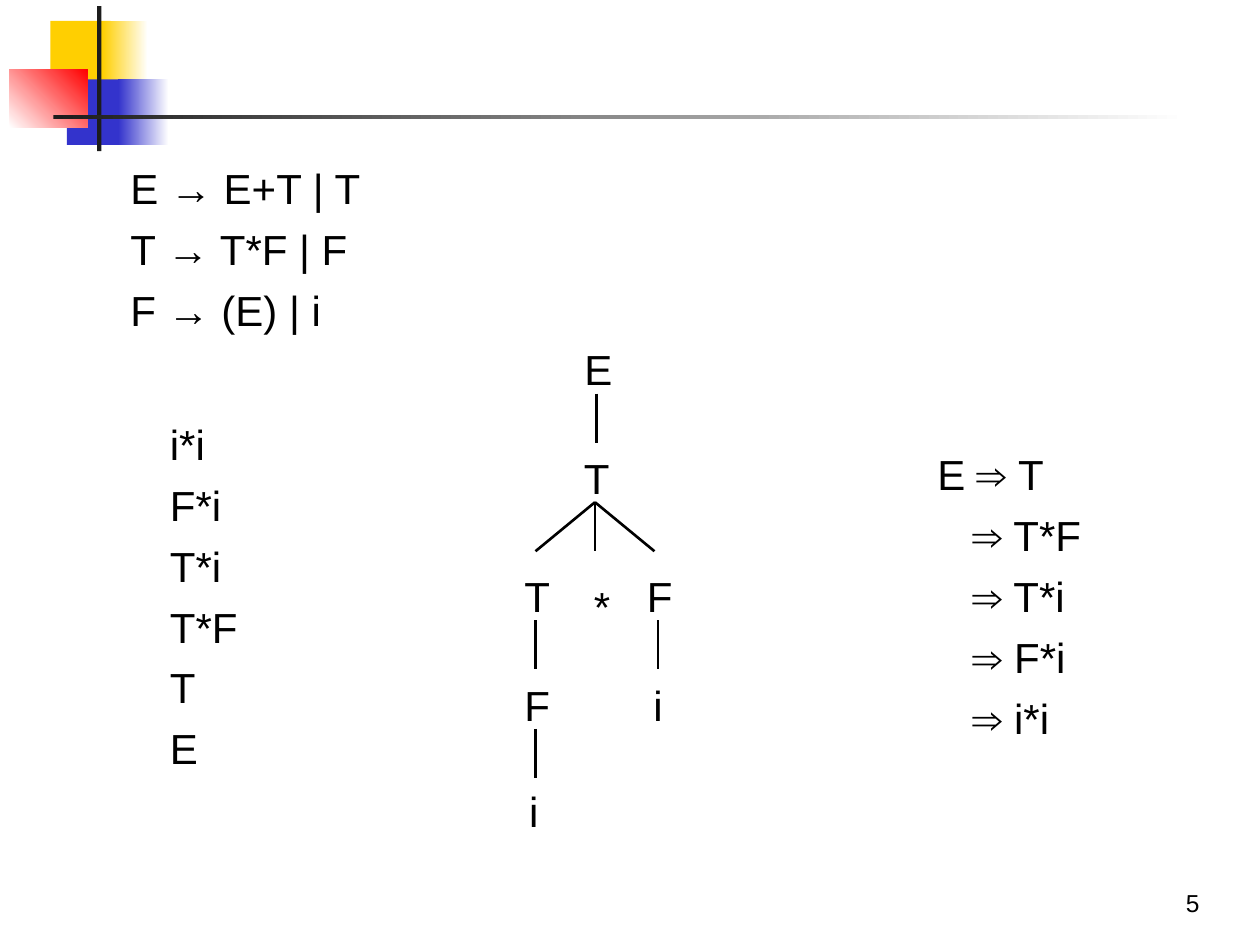
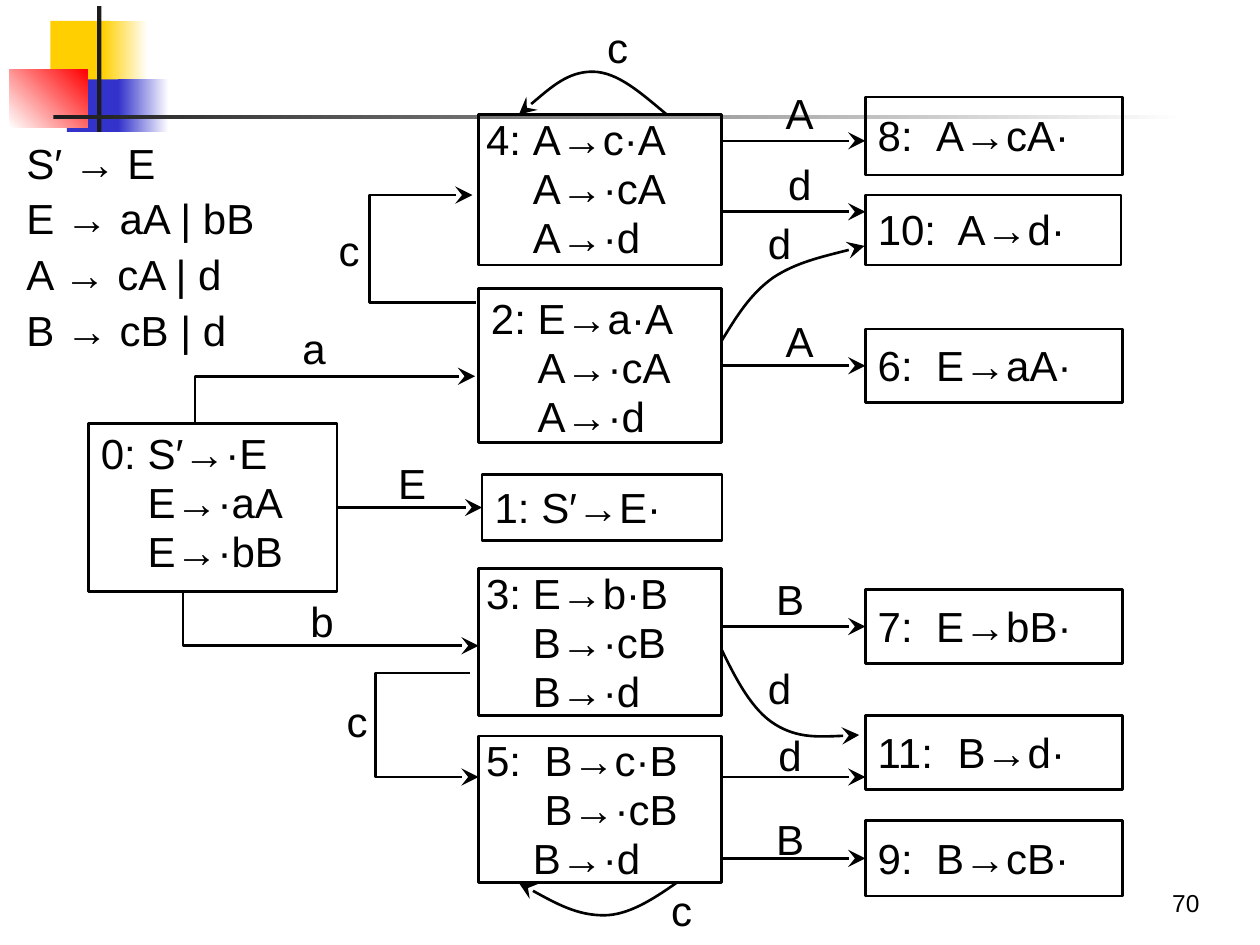
from lxml.etree import SubElement
from pptx import Presentation
from pptx.dml.color import RGBColor
from pptx.enum.shapes import MSO_CONNECTOR as Link, MSO_SHAPE as Shape
from pptx.enum.text import MSO_ANCHOR as Anchor, PP_ALIGN as Align
from pptx.oxml.ns import qn
from pptx.util import Pt

BLACK, WHITE, DARK = "000000", "FFFFFF", "1C1C1C"
GOLD, BLUE, RED = "FFCF01", "3333CC", "FF0000"
FONT, SIZE, LEAD, CLOSE = "Arial", 24, 28.8, 28
INSET = (7.2, 3, 7.2, 3.6)

# box, first colour, second colour of a gradient, angle
DECOR = [
    ((28.8, 12, 34.5, 37.5), GOLD, None, 0),
    ((58.5, 12, 26, 37.5), GOLD, WHITE, 0),
    ((38.2, 45.3, 33, 37.5), BLUE, None, 0),
    ((67.5, 45.3, 29, 37.5), BLUE, WHITE, 0),
    ((5.5, 39.5, 44.5, 33.5), WHITE, RED, 45),
    ((55.5, 3.5, 2.5, 83), DARK, None, 0),
    ((30.5, 65.5, 648, 2.3), DARK, WHITE, 0),
]

# Slide 5: box, lines, indent of the lines after the first
LISTS = [
    ((67.5, 90, 180, 107), ["E → E+T | T", "T → T*F | F", "F → (E) | i"], 0),
    ((90, 236, 112, 212), ["i*i", "F*i", "T*i", "T*F", "T", "E"], 0),
    ((528.5, 253.5, 112, 177),
     ["E ⇒ T", "⇒ T*F", "⇒ T*i", "⇒ F*i", "⇒ i*i"], 20),
]
# symbol, centre, top, sideways reach of each branch below it
NODES = [
    ("E", 342, 197, [0]),
    ("T", 341, 259, [-34, 0, 34]),
    ("T", 307, 326.5, [0]),
    ("*", 344, 332, []),
    ("F", 377, 326.5, [0]),
    ("F", 307, 388.5, [0]),
    ("i", 376, 388.5, []),
    ("i", 305, 449.5, []),
]

# Slide 70
RULES = ["S′ → E", "E → aA | bB", "A → cA | d", "B → cB | d"]
NEAR, WIDE, FAR = 26.7, 33.4, 45.7
TIGHT = (4.3, 0, 7.2, 0)
# state: box, items, indents of the items, insets
STATES = {
    0: ((50.5, 242, 142, 96), ["S′→·E", "E→·aA", "E→·bB"], [NEAR] * 3, INSET),
    1: ((275.5, 271, 137, 38), ["S′→E·"], [NEAR], INSET),
    2: ((273.5, 165, 139, 88), ["E→a·A", "A→·cA", "A→·d"], [NEAR] * 3, INSET),
    3: ((273.5, 325, 139, 84), ["E→b·B", "B→·cB", "B→·d"], [NEAR] * 3, TIGHT),
    4: ((273.5, 65.5, 139, 86), ["A→c·A", "A→·cA", "A→·d"], [NEAR] * 3, TIGHT),
    5: ((273.5, 420.5, 139, 84), ["B→c·B", "B→·cB", "B→·d"],
        [WIDE, WIDE, NEAR], TIGHT),
    6: ((494.5, 188, 147, 42), ["E→aA·"], [WIDE], INSET),
    7: ((494.5, 337, 147, 42), ["E→bB·"], [WIDE], INSET),
    8: ((494.5, 55.5, 147, 44.5), ["A→cA·"], [WIDE], INSET),
    9: ((494.5, 469, 147, 43), ["B→cB·"], [WIDE], INSET),
    10: ((494.5, 111.5, 146, 40), ["A→d·"], [FAR], INSET),
    11: ((494.5, 409, 147, 42), ["B→d·"], [FAR], INSET),
}
# from state, to state, height, label, label centre
MOVES = [
    (0, 1, 290, "E", (235.5, 276)),
    (2, 6, 209, "A", (457, 194.5)),
    (3, 7, 358, "B", (451.5, 342)),
    (4, 8, 80.5, "A", (457, 64.5)),
    (4, 10, 121, "d", (457, 105)),
    (5, 11, 444, "d", (451.5, 431)),
    (5, 9, 490.5, "B", (451.5, 479.5)),
]
# points, label, label centre
ELBOWS = [
    ([(272, 173), (211, 173), (211, 111.5), (270, 111.5)], "c", (199.5, 142.5)),
    ([(268.5, 384.5), (214.5, 384.5), (214.5, 444), (273.5, 444)],
     "c", (204, 412)),
    ([(104.5, 338), (104.5, 369), (273.5, 369)], "b", (184, 355)),
    ([(111.5, 242), (111.5, 215), (271.5, 215)], "a", (179.5, 198.5)),
]
CURVES = [
    ([(412.5, 371.5), (421, 389), (430, 406), (443, 414),
      (456, 422), (474, 421), (491, 420)], "d", (445.5, 393)),
    ([(381, 65.5), (366.5, 53.5), (353, 41), (338.5, 41),
      (324.5, 41), (310.5, 53.5), (296.5, 65.5)], "c", (353, 26.5)),
    ([(386.5, 504.5), (373, 514), (359, 523), (345, 523),
      (330, 523), (313, 514), (296.5, 504.5)], "c", (389.5, 520)),
    ([(412.5, 194.5), (420.5, 181.5), (428.5, 168), (442, 158.5),
      (455, 150), (474.5, 145.5), (494, 140.5)], "d", (445.5, 139)),
]


def rgb(code):
    return RGBColor.from_string(code)


def pts(vals):
    return [Pt(v) for v in vals]


def block(slide, box, fill=None, fade=None, angle=0, line=None):
    shape = slide.shapes.add_shape(Shape.RECTANGLE, *pts(box))
    shape.shadow.inherit = False
    if fade:
        shape.fill.gradient()
        shape.fill.gradient_angle = angle
        for stop, code in zip(shape.fill.gradient_stops, (fill, fade)):
            stop.color.rgb = rgb(code)
    elif fill:
        shape.fill.solid()
        shape.fill.fore_color.rgb = rgb(fill)
    else:
        shape.fill.background()
    if line:
        ink(shape, line)
    else:
        shape.line.fill.background()
    return shape


def ink(shape, code=BLACK, arrow=False):
    shape.line.color.rgb = rgb(code)
    shape.line.width = Pt(1.5)
    if arrow:
        ln = shape.element.spPr.find(qn("a:ln"))
        SubElement(ln, qn("a:tailEnd"), type="stealth", w="lg", len="lg")


def write(shape, lines, indents=None, hang=0, gap=0, size=SIZE, lead=LEAD,
          align=Align.LEFT, anchor=Anchor.TOP, inset=INSET, wrap=True):
    """Fill a shape with text; hang pulls the first line back to the left."""
    frame = shape.text_frame
    frame.word_wrap = wrap
    frame.vertical_anchor = anchor
    (frame.margin_left, frame.margin_top,
     frame.margin_right, frame.margin_bottom) = pts(inset)
    for i, line in enumerate(lines):
        para = frame.paragraphs[0] if i == 0 else frame.add_paragraph()
        para.text = line
        if indents and indents[i]:
            props = para._p.get_or_add_pPr()
            props.set("marL", str(Pt(indents[i])))
            props.set("indent", str(-Pt(hang) if i == 0 else 0))
        para.alignment = align
        para.line_spacing = Pt(lead)
        if i:
            para.space_before = Pt(gap)
        para.font.name, para.font.size = FONT, Pt(size)
        para.font.color.rgb = rgb(BLACK)


def note(slide, box, lines, **style):
    write(slide.shapes.add_textbox(*pts(box)), lines, **style)


def label(slide, text, mid):
    x, y = mid
    note(slide, (x - 21, y - 15, 42, 30), [text], align=Align.CENTER,
         anchor=Anchor.MIDDLE, wrap=False, inset=(0, 0, 0, 0))


def straight(slide, start, end, arrow=False):
    line = slide.shapes.add_connector(Link.STRAIGHT, *pts(start + end))
    ink(line, arrow=arrow)
    SubElement(line.element.spPr, qn("a:effectLst"))
    return line


def bent(slide, points, curved=False):
    """Draw an arrow through points, or a Bézier arrow with them as controls."""
    start, *rest = [pts(p) for p in points]
    build = slide.shapes.build_freeform(*start, scale=1.0)
    build.add_line_segments(rest, close=False)
    shape = build.convert_to_shape()
    shape.shadow.inherit = False
    shape.fill.background()
    ink(shape, arrow=True)
    if curved:
        steps = list(shape.element.iter(qn("a:lnTo")))
        track = steps[0].getparent()
        for i in range(0, len(steps), 3):
            curve = SubElement(track, qn("a:cubicBezTo"))
            for step in steps[i:i + 3]:
                curve.append(step[0])
                track.remove(step)


def base(deck, number):
    slide = deck.slides.add_slide(deck.slide_layouts[6])
    for box, *paint in DECOR:
        block(slide, box, *paint)
    note(slide, (543, 492, 149.5, 36), [number], size=14, lead=17,
         align=Align.RIGHT, anchor=Anchor.BOTTOM)
    return slide


def tree(deck):
    slide = base(deck, "5")
    for box, lines, shift in LISTS:
        note(slide, box, lines, gap=6,
             indents=[0] + [shift] * (len(lines) - 1))
    for text, x, y, reach in NODES:
        label(slide, text, (x, y + 14))
        for dx in reach:
            straight(slide, (x - 1, y + 28), (x - 1 + dx, y + 56))


def graph(deck):
    slide = base(deck, "70")
    nodes = {}
    for key, (box, items, indents, inset) in STATES.items():
        nodes[key] = block(slide, box, line=BLACK)
        write(nodes[key], [f"{key}:\t{items[0]}"] + items[1:], indents,
              hang=indents[0], inset=inset, lead=CLOSE,
              anchor=Anchor.TOP if len(items) > 1 else Anchor.MIDDLE)
    for a, b, y, text, mid in MOVES:
        (left, top, wide, high), (x, roof, _, tall) = STATES[a][0], STATES[b][0]
        line = straight(slide, (left + wide, y), (x, y), arrow=True)
        if y == top + high / 2:
            line.begin_connect(nodes[a], 3)
        if y == roof + tall / 2:
            line.end_connect(nodes[b], 1)
        label(slide, text, mid)
    for paths, curved in ((ELBOWS, False), (CURVES, True)):
        for points, text, mid in paths:
            bent(slide, points, curved)
            label(slide, text, mid)
    write(block(slide, (0, 75.5, 168.5, 132.5), fill=WHITE), RULES,
          indents=[8] * len(RULES), gap=3)


def main():
    deck = Presentation()
    deck.slide_width, deck.slide_height = Pt(720), Pt(540)
    tree(deck)
    graph(deck)
    deck.save("out.pptx")


if __name__ == "__main__":
    main()
